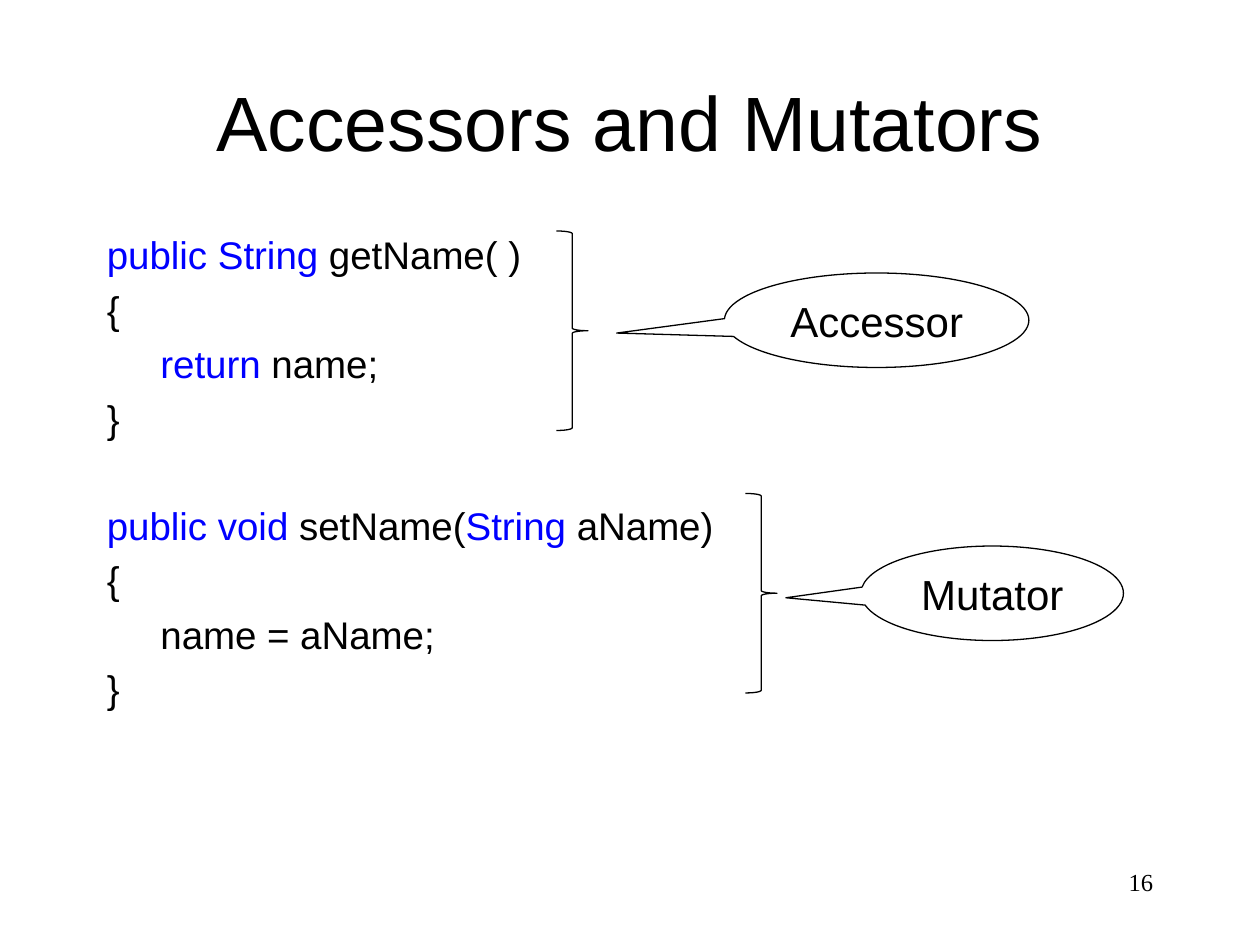
from pptx import Presentation
from pptx.dml.color import RGBColor
from pptx.enum.shapes import MSO_SHAPE
from pptx.enum.text import MSO_ANCHOR, PP_ALIGN
from pptx.util import Pt

BRACE, CALLOUT = MSO_SHAPE.RIGHT_BRACE, MSO_SHAPE.OVAL_CALLOUT
LEFT, CENTER, RIGHT = PP_ALIGN.LEFT, PP_ALIGN.CENTER, PP_ALIGN.RIGHT
TOP, MIDDLE = MSO_ANCHOR.TOP, MSO_ANCHOR.MIDDLE

THEME = {
    "ink": RGBColor(0, 0, 0), "keyword": RGBColor(0, 0, 255),
    "font": "Arial", "number_font": "Times New Roman",
    "title": 44, "code": 22, "label": 24, "number": 14, "line": 0.75,
}

# Content: a line of code is (indent level, runs); a run is (text, colour)
TITLE, NUMBER = "Accessors and Mutators", "16"
METHODS = [
    {"code": [(0, [("public String ", "keyword"), ("getName( )", "ink")]),
              (0, [("{", "ink")]),
              (1, [("return", "keyword"), (" name;", "ink")]),
              (0, [("}", "ink")])],
     "brace_x": 318,
     "label": "Accessor", "callout": (414, 156, 174, 54), "tip": (-0.854, 0.136)},
    {"code": [(0, [("public void ", "keyword"), ("setName(", "ink"),
                   ("String ", "keyword"), ("aName)", "ink")]),
              (0, [("{", "ink")]),
              (1, [("name = aName;", "ink")]),
              (0, [("}", "ink")])],
     "brace_x": 426,
     "label": "Mutator", "callout": (492, 312, 150, 54), "tip": (-0.786, 0.048)},
]

# Layout in points
BODY = (54, 132, 612, 324)
METHOD_STEP, BRACE_W, BRACE_H = 150, 18, 114
LINE_SPACING, SPACE_BEFORE, LINE_PITCH, TAB = 0.88, 7.9, 30.2, 30.6


def set_font(font, size, color="ink", name="font"):
    font.name, font.size = THEME[name], Pt(THEME[size])
    font.color.rgb = THEME[color]


def add_box(s, box, anchor=TOP):
    tf = s.shapes.add_textbox(*map(Pt, box)).text_frame
    tf.word_wrap = True
    tf.vertical_anchor = anchor
    return tf


def write(tf, text, size, align, name="font"):
    p = tf.paragraphs[0]
    p.text, p.alignment = text, align
    set_font(p.font, size, name=name)


def add_outline(s, kind, box):
    sp = s.shapes.add_shape(kind, *map(Pt, box))
    sp.shadow.inherit = False
    sp.fill.background()
    sp.line.color.rgb = THEME["ink"]
    sp.line.width = Pt(THEME["line"])
    return sp


def add_code(tf, methods):
    for m, method in enumerate(methods):
        for n, (level, runs) in enumerate(method["code"]):
            first = m == n == 0
            p = tf.paragraphs[0] if first else tf.add_paragraph()
            p.alignment, p.line_spacing = LEFT, LINE_SPACING
            # One free line separates the methods
            gap = LINE_PITCH if m and n == 0 else 0
            p.space_before = Pt(SPACE_BEFORE + gap)
            if level:
                p._p.get_or_add_pPr().set("marL", str(Pt(level * TAB)))
            for text, color in runs:
                r = p.add_run()
                r.text = text
                set_font(r.font, "code", color)


def main():
    prs = Presentation()
    prs.slide_width, prs.slide_height = Pt(720), Pt(540)
    s = prs.slides.add_slide(prs.slide_layouts[6])

    # Slide number, title and code
    write(add_box(s, (516, 492, 150, 36)), NUMBER, "number", RIGHT, "number_font")
    write(add_box(s, (54, 24, 612, 90), MIDDLE), TITLE, "title", CENTER)
    add_code(add_box(s, BODY), METHODS)

    # A brace and a callout beside each method
    for i, method in enumerate(METHODS):
        add_outline(s, BRACE, (method["brace_x"], BODY[1] + i * METHOD_STEP,
                               BRACE_W, BRACE_H))
        sp = add_outline(s, CALLOUT, method["callout"])
        sp.adjustments[0], sp.adjustments[1] = method["tip"]
        sp.text_frame.vertical_anchor = MIDDLE
        write(sp.text_frame, method["label"], "label", CENTER)

    prs.save("out.pptx")


if __name__ == "__main__":
    main()
